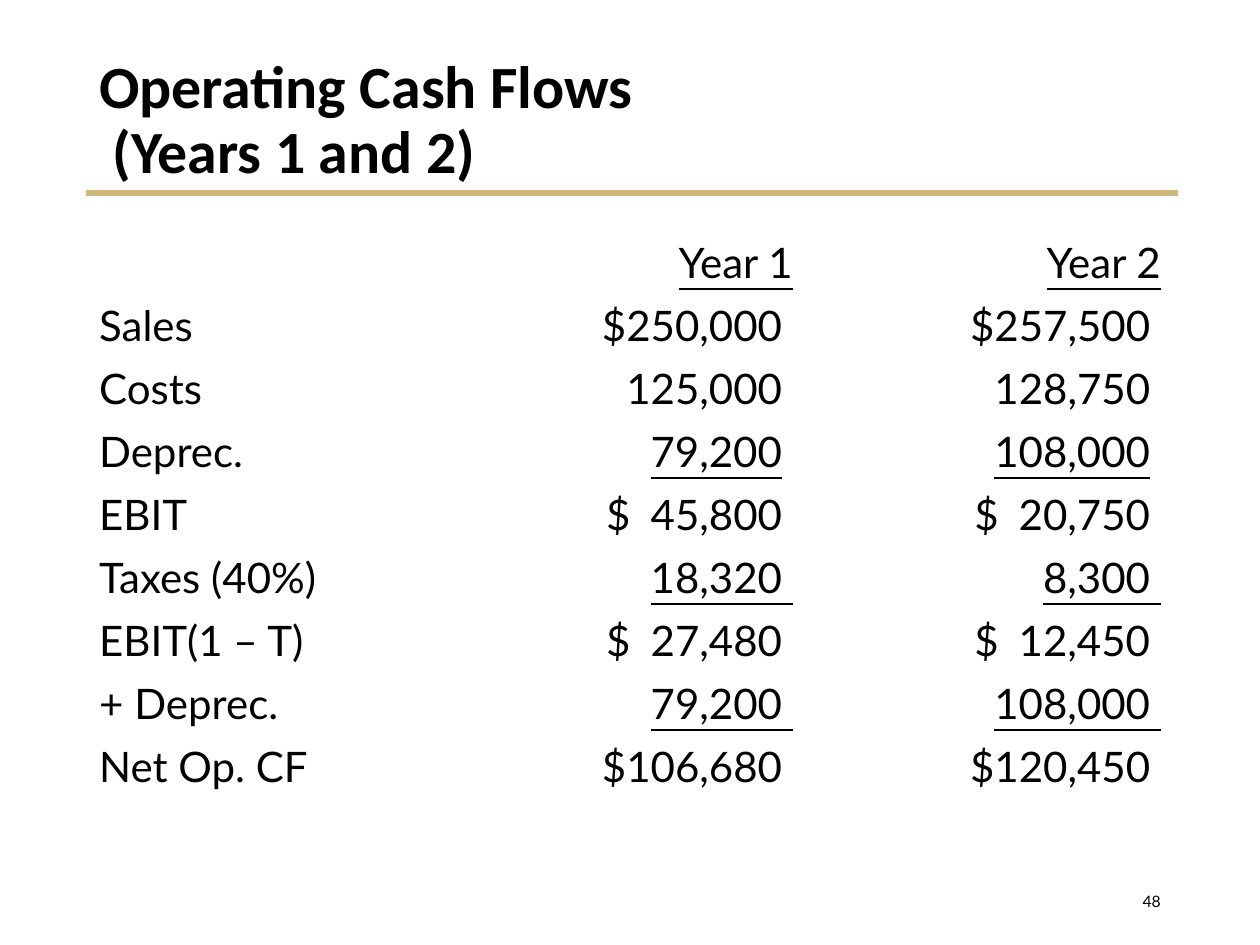
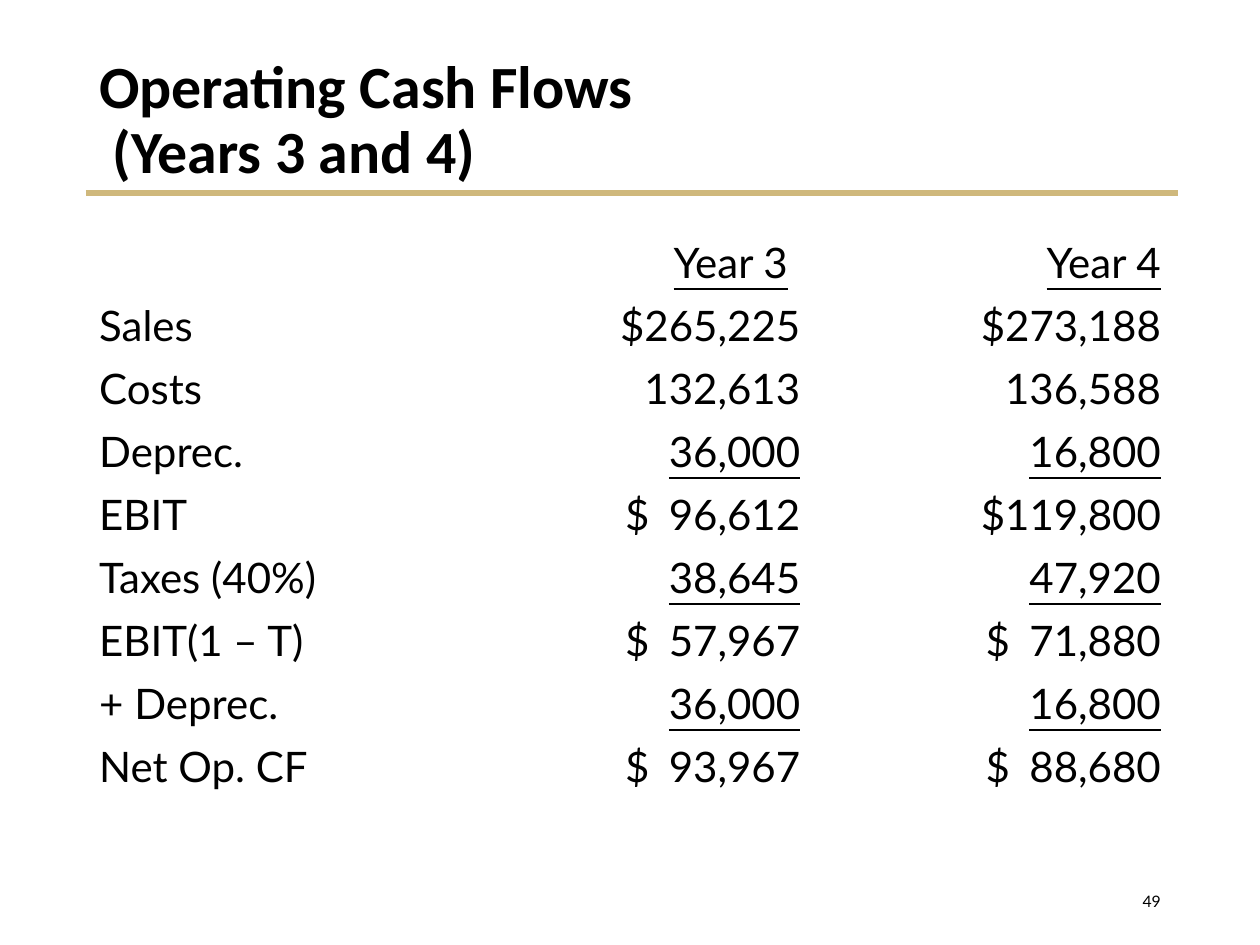
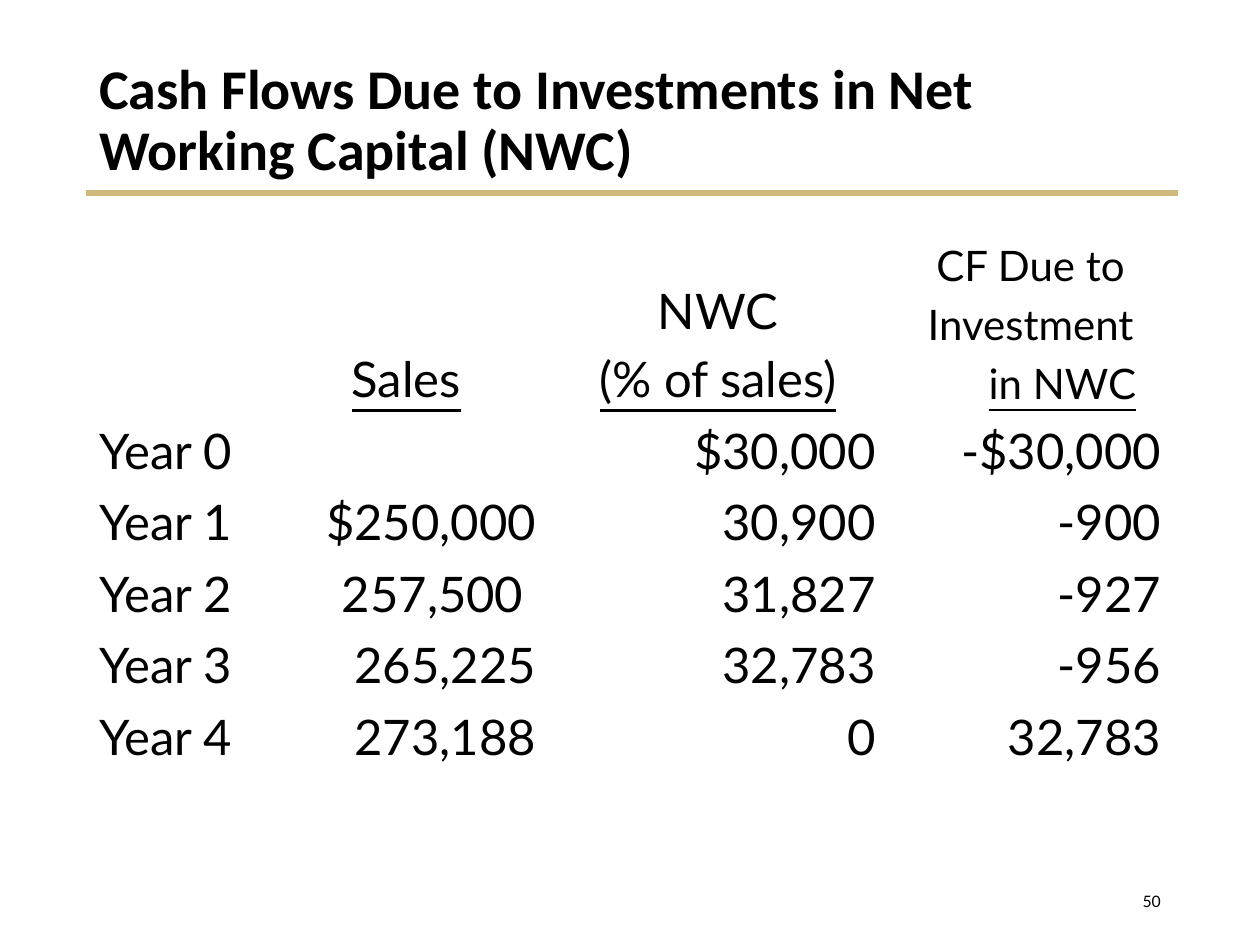
from lxml.etree import SubElement
from pptx import Presentation
from pptx.dml.color import RGBColor
from pptx.enum.shapes import MSO_CONNECTOR
from pptx.enum.text import MSO_ANCHOR, PP_ALIGN
from pptx.oxml.ns import qn
from pptx.util import Cm, Pt

HUES = {"ink": "000000", "gold": "CFB87C"}
LEFT, WIDE = 1.75, 21.9
PAD = 0.25  # side margin of a table cell
LABELS = ["Sales", "Costs", "Deprec.", "EBIT", "Taxes (40%)",
          "EBIT(1 – T)", "+ Deprec.", "Net Op. CF"]
RULED = {"Deprec.", "Taxes (40%)", "+ Deprec."}


def text(par, words, size=24, font="Lato", hue="ink", bold=False,
         under=False, align=PP_ALIGN.LEFT):
    """Add words to a paragraph; a newline becomes a line break."""
    par.alignment = align
    for num, line in enumerate(words.split("\n")):
        if num:
            par.add_line_break()
        run = par.add_run()
        run.text = line
        run.font.size = Pt(size)
        run.font.name = font
        run.font.bold = bold
        run.font.underline = under
        run.font.color.rgb = RGBColor.from_string(HUES[hue])


def stops(par, *marks):
    """Set tab stops from (position in cm, alignment) pairs."""
    tabs = SubElement(par._p.get_or_add_pPr(), qn("a:tabLst"))
    for place, kind in marks:
        SubElement(tabs, qn("a:tab"), pos=str(Cm(place)), algn=kind)


class Deck:
    def __init__(self):
        self.show = Presentation()
        self.show.slide_width, self.show.slide_height = Cm(25.4), Cm(19.05)
        self.page = None

    def start(self, title, number, size=34.2):
        """Open a slide with its gold rule, title and page number."""
        self.page = self.show.slides.add_slide(self.show.slide_layouts[6])
        self.rule(1.73, 23.75, 3.89)
        par = self.box(LEFT, 1.02, WIDE, 2.87)
        par.line_spacing = 0.9
        text(par, title, size=size, font="Calibri", bold=True)
        par = self.box(17.93, 17.65, 5.72, 1.02)
        text(par, str(number), size=9, align=PP_ALIGN.RIGHT)

    def rule(self, start, end, top):
        line = self.page.shapes.add_connector(
            MSO_CONNECTOR.STRAIGHT, Cm(start), Cm(top), Cm(end), Cm(top))
        line.line.color.rgb = RGBColor.from_string(HUES["gold"])
        line.line.width = Pt(3)
        SubElement(line._element.spPr, qn("a:effectLst"))

    def box(self, left, top, wide, high):
        frame = self.page.shapes.add_textbox(
            Cm(left), Cm(top), Cm(wide), Cm(high)).text_frame
        frame.word_wrap = True
        frame.vertical_anchor = MSO_ANCHOR.MIDDLE
        return frame.paragraphs[0]

    def grid(self, cols, rows):
        """Add a plain table with the given column and row sizes."""
        table = self.page.shapes.add_table(
            len(rows), len(cols), Cm(LEFT), Cm(4.65),
            Cm(sum(cols)), Cm(sum(rows))).table
        table.first_row = table.horz_banding = False
        for col, wide in zip(table.columns, cols):
            col.width = Cm(wide)
        for row, high in zip(table.rows, rows):
            row.height = Cm(high)
        for cell in table.iter_cells():
            cell.fill.background()
            cell.margin_left = cell.margin_right = Cm(PAD)
        return table

    def money(self, par, value, wide, span, tail, ruled):
        """Write an amount; rules and split dollar signs span a set width."""
        edge = wide - 2 * PAD
        if not ruled and " " not in value:
            text(par, value + tail, align=PP_ALIGN.RIGHT)
            return
        stops(par, (edge - span, "l"), (edge, "r"))
        text(par, "\t")
        if ruled:
            text(par, "\t" + value, under=True)
        else:
            text(par, value.replace(" ", "\t"))
        if tail:
            text(par, tail, under=ruled == "full")

    def flows(self, years, number, cols, sums, span, tail=""):
        """Build a cash flow slide for two years."""
        first, last = years
        self.start(f"Operating Cash Flows\n (Years {first} and {last})", number)
        table = self.grid(cols, [1.27] * (len(LABELS) + 1))
        for col, year in enumerate(years, 1):
            text(table.cell(0, col).text_frame.paragraphs[0], f"Year {year}",
                 under=True, align=PP_ALIGN.RIGHT)
        for row, (label, pair) in enumerate(zip(LABELS, sums), 1):
            text(table.cell(row, 0).text_frame.paragraphs[0], label)
            ruled = label in RULED and ("part" if label == "Deprec." else "full")
            for col, value in enumerate(pair, 1):
                self.money(table.cell(row, col).text_frame.paragraphs[0],
                           value, cols[col], span, tail, ruled)
        return table

    def head(self, cell, lines, size):
        """Fill a column head with (words, underlined, tab stops) lines."""
        cell.vertical_anchor = MSO_ANCHOR.BOTTOM
        frame = cell.text_frame
        for num, (words, under, marks) in enumerate(lines):
            par = frame.add_paragraph() if num else frame.paragraphs[0]
            if num:
                par.space_before = Pt(size * 0.2)
            if marks:
                stops(par, *((place, "l") for place in marks))
                if len(marks) > 1:
                    text(par, "\t", size=size)
            text(par, words, size=size, under=under,
                 align=PP_ALIGN.LEFT if marks else PP_ALIGN.CENTER)

    def capital(self):
        """Build the net working capital slide."""
        self.start("Cash Flows Due to Investments in Net Working Capital (NWC)",
                   50, size=32)
        table = self.grid([3.76, 5.54, 6.85, 5.75], [3.71] + [1.44] * 4 + [1.57])
        # Column heads
        sales = table.cell(0, 1)
        sales.margin_left = Cm(0.56)
        self.head(sales, [("\tSales", True, [1.02])], 28)
        self.head(table.cell(0, 2), [("NWC", False, []),
                                     ("(% of sales)", True, [])], 28)
        self.head(table.cell(0, 3), [("CF Due to", False, []),
                                     ("Investment", False, []),
                                     ("\tin NWC", True, [0.48, 1.78])], 24)
        # Yearly amounts
        sums = [("", "$30,000", "-$30,000"), ("$250,000", "30,900", "-900"),
                ("257,500 ", "31,827", "-927"), ("265,225", "32,783", "-956"),
                ("273,188", "0", "32,783")]
        for year, values in enumerate(sums):
            for col, words in enumerate((f"Year {year}", *values)):
                if words:
                    text(table.cell(year + 1, col).text_frame.paragraphs[0],
                         words, size=28,
                         align=PP_ALIGN.RIGHT if col else PP_ALIGN.LEFT)


def main():
    deck = Deck()
    # Years 1 and 2
    deck.flows((1, 2), 48, [8.36, 6.12, 7.42], [
        ("$250,000", "$257,500"), ("125,000", "128,750"),
        ("79,200", "108,000"), ("$ 45,800", "$ 20,750"),
        ("18,320", "8,300"), ("$ 27,480", "$ 12,450"),
        ("79,200", "108,000"), ("$106,680", "$120,450")], 3.76, " ")
    # Years 3 and 4
    table = deck.flows((3, 4), 49, [7.63, 7, 7.27], [
        ("$265,225", "$273,188"), ("132,613", "136,588"),
        ("36,000", "16,800"), ("$ 96,612", "$119,800"),
        ("38,645", "47,920"), ("$ 57,967", "$ 71,880"),
        ("36,000", "16,800"), ("$ 93,967", "$ 88,680")], 3.53)
    table.cell(0, 1).margin_right = Cm(2 * PAD)
    # Working capital
    deck.capital()
    deck.show.save("out.pptx")


if __name__ == "__main__":
    main()
